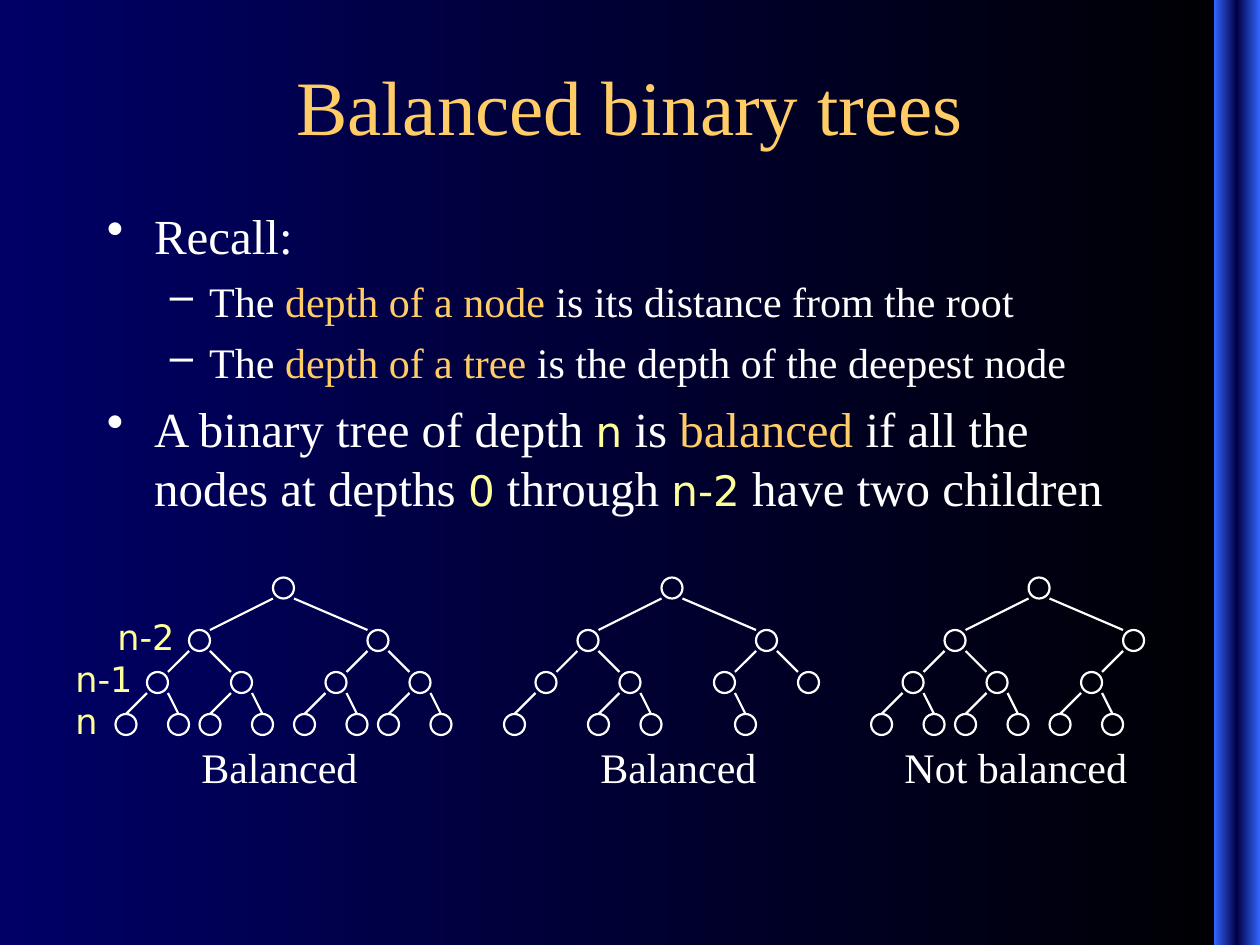
from copy import deepcopy

from lxml import etree
from pptx import Presentation
from pptx.dml.color import RGBColor
from pptx.enum.shapes import MSO_CONNECTOR, MSO_SHAPE
from pptx.enum.text import MSO_ANCHOR, PP_ALIGN
from pptx.oxml.ns import qn
from pptx.util import Pt

LINE = MSO_CONNECTOR.STRAIGHT
OVAL = MSO_SHAPE.OVAL
RECT = MSO_SHAPE.RECTANGLE
MIDDLE = MSO_ANCHOR.MIDDLE
CENTER = PP_ALIGN.CENTER

COLORS = {
    "text": "FFFFFF",
    "term": "FFCC66",
    "code": "FFFF99",
    "black": "000000",
    "navy": "000066",
    "blue": "3366FF",
    "dark": "000044",
}
SERIF, SANS = "Times New Roman", "DejaVu Sans"

NODE = 12
ROW_TOPS = [330, 360, 384, 408]
ROW_LEFTS = [
    [90],
    [42, 144],
    [18, 66, 120, 168],
    [0, 30, 48, 78, 102, 132, 150, 180],
]

BULLETS = [
    (0, [("Recall:", "text")]),
    (1, [("The ", "text"), ("depth of a node", "term"),
         (" is its distance from the root", "text")]),
    (1, [("The ", "text"), ("depth of a tree", "term"),
         (" is the depth of the deepest node", "text")]),
    (0, [("A binary tree of depth ", "text"), ("n", "code"), (" is ", "text"),
         ("balanced", "term"), (" if all the nodes at depths ", "text"),
         ("0", "code"), (" through ", "text"), ("n-2", "code"),
         (" have two children", "text")]),
]
BULLET_STYLES = [
    {"char": "•", "size": 28, "before": 7, "left": 27, "hang": 27},
    {"char": "–", "size": 24, "before": 6, "left": 58.5, "hang": 22.5},
]
TREES = [
    (66, "Balanced", 42, 108, set()),
    (288, "Balanced", 48, 114, {9, 12, 14, 15}),
    (497.75, "Not balanced", 12, 150, {7, 14, 15}),
]
LEVEL_LABELS = [("n-2", 60), ("n-1", 36), ("n", 36)]


def rgb(name):
    return RGBColor.from_string(COLORS[name])


def set_gradient(fill, names):
    fill.gradient()
    fill.gradient_angle = 180
    first = fill.gradient_stops[0]._gs
    for _ in names[2:]:
        first.addnext(deepcopy(first))
    for i, (stop, name) in enumerate(zip(fill.gradient_stops, names)):
        stop.position = i / (len(names) - 1)
        stop.color.rgb = rgb(name)


def style_run(r, size, color, font=SERIF):
    r.font.size = Pt(size)
    r.font.name = font
    r.font.color.rgb = rgb(color)


def add_text(shapes, box, text="", size=24, color="text", font=SERIF, before=0):
    tf = shapes.add_textbox(*map(Pt, box)).text_frame
    tf.word_wrap = True
    if text:
        p = tf.paragraphs[0]
        p.text = text
        p.space_before = Pt(before)
        style_run(p.runs[0], size, color, font)
    return tf


def set_bullet(p, style):
    pPr = p._p.get_or_add_pPr()
    pPr.set("marL", str(Pt(style["left"])))
    pPr.set("indent", str(-Pt(style["hang"])))
    clr = etree.SubElement(pPr, qn("a:buClr"))
    etree.SubElement(clr, qn("a:srgbClr")).set("val", COLORS["text"])
    etree.SubElement(pPr, qn("a:buChar")).set("char", style["char"])


def add_side_bar(s, box):
    sp = s.shapes.add_shape(RECT, *map(Pt, box))
    sp.shadow.inherit = False
    set_gradient(sp.fill, ["blue", "dark", "blue"])
    sp.line.fill.background()


def add_title(s, box):
    tf = add_text(s.shapes, box, "Balanced binary trees", 44, "term")
    tf.vertical_anchor = MIDDLE
    tf.paragraphs[0].alignment = CENTER


def add_body(s, box):
    tf = add_text(s.shapes, box)
    for i, (level, parts) in enumerate(BULLETS):
        p = tf.add_paragraph() if i else tf.paragraphs[0]
        style = BULLET_STYLES[level]
        p.level = level
        p.space_before = Pt(style["before"])
        set_bullet(p, style)
        for text, color in parts:
            r = p.add_run()
            r.text = text
            if color == "code":
                style_run(r, 24, color, SANS)
            else:
                style_run(r, style["size"], color)


def add_node(shapes, left, top):
    sp = shapes.add_shape(OVAL, Pt(left), Pt(top), Pt(NODE), Pt(NODE))
    sp.shadow.inherit = False
    sp.fill.background()
    sp.line.color.rgb = rgb("text")
    sp.line.width = Pt(1.25)


def add_edge(shapes, start, end):
    cx = shapes.add_connector(LINE, *map(Pt, (*start, *end)))
    cx.line.color.rgb = rgb("text")
    cx.line.width = Pt(1.25)
    etree.SubElement(cx._element.spPr, qn("a:effectLst"))


def add_tree(s, left, caption, caption_dx, caption_width, missing):
    shapes = s.shapes.add_group_shape().shapes
    add_text(shapes, (left + caption_dx, 420, caption_width, 36), caption, before=15)
    for depth, (top, lefts) in enumerate(zip(ROW_TOPS, ROW_LEFTS)):
        for i, dx in enumerate(lefts):
            if 2 ** depth + i in missing:
                continue
            x = left + dx
            add_node(shapes, x, top)
            if depth == 0:
                continue
            is_right = i % 2
            parent_x = left + ROW_LEFTS[depth - 1][i // 2] + NODE * is_right
            if depth == 3:
                child_x = x + NODE / 2
            else:
                child_x = x + NODE * (1 - is_right)
            add_edge(shapes, (child_x, top), (parent_x, ROW_TOPS[depth - 1] + NODE))


def add_level_labels(s, top, step):
    shapes = s.shapes.add_group_shape().shapes
    for i, (text, left) in enumerate(LEVEL_LABELS):
        add_text(shapes, (left, top + i * step, 54, 31.5), text, 20, "code", SANS, 12.5)


def main():
    prs = Presentation()
    prs.slide_width, prs.slide_height = Pt(720), Pt(540)
    s = prs.slides.add_slide(prs.slide_layouts[6])
    set_gradient(s.background.fill, ["black", "navy"])
    add_side_bar(s, (693.6, 0, 26.4, 540))
    add_title(s, (24, 29.5, 672, 60.5))
    add_body(s, (54, 114, 612, 192))
    for tree in TREES:
        add_tree(s, *tree)
    add_level_labels(s, 348, 24)
    prs.save("out.pptx")


if __name__ == "__main__":
    main()
